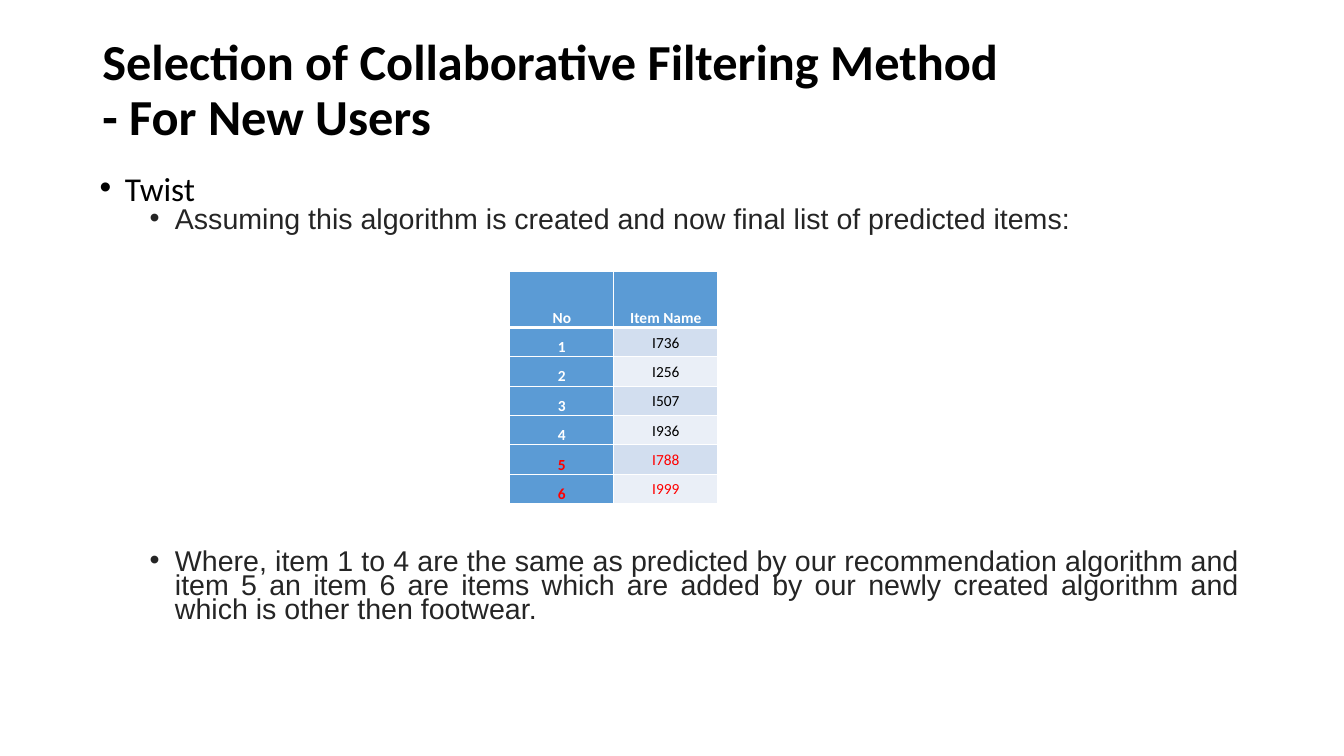
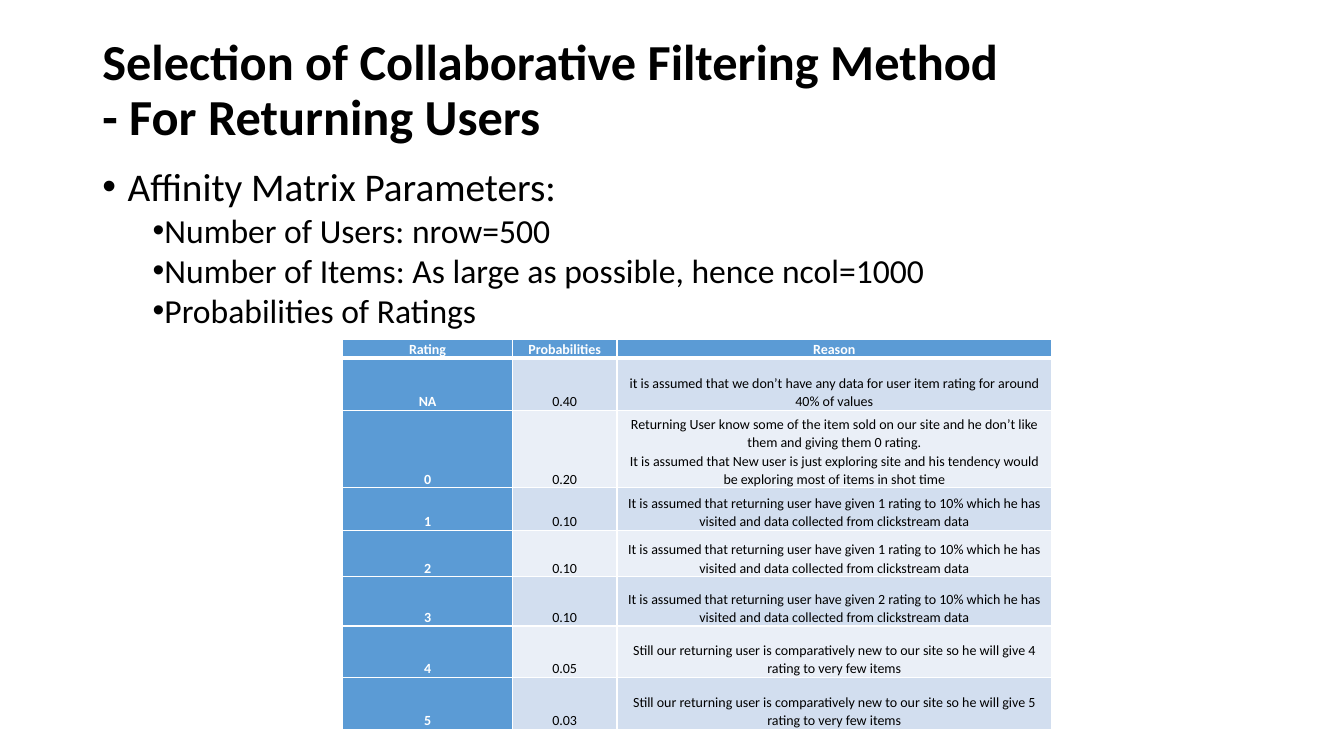
from lxml import etree
from pptx import Presentation
from pptx.dml.color import RGBColor
from pptx.enum.text import MSO_ANCHOR as Anchor, PP_ALIGN as Align
from pptx.oxml.ns import qn
from pptx.util import Cm, Pt

# Content
TITLE = "Selection of Collaborative Filtering Method\v- For {} Users"

# Each point: text, style, space before in points
TWIST = [
    ("Twist", "twist", 0),
    ("Assuming this algorithm is created and now final list of predicted "
     "items:", "assumption", 0),
    ("Where, item 1 to 4 are the same as predicted by our recommendation "
     "algorithm and item 5 an item 6 are items which are added by our newly "
     "created algorithm and which is other then footwear.", "outcome", 227),
]
PREDICTED = ["I736", "I256", "I507", "I936"]
ADDED = ["I788", "I999"]

PARAMETERS = [
    ("Affinity Matrix Parameters:", "heading", 0),
    ("Number of Users: nrow=500", "parameter", 0),
    ("Number of Items: As large as possible, hence ncol=1000", "parameter", 0),
    ("Probabilities of Ratings", "parameter", 0),
]
GIVEN = ("It is assumed that returning user have given {} rating to 10% which "
         "he has visited and data collected from clickstream data")
FEW = ("Still our returning user is comparatively new to our site so he will "
       "give {} rating to very few items")
RATINGS = [
    ("Rating", "Probabilities", "Reason"),
    ("NA", "0.40", "it is assumed that we don’t have any data for user item "
                   "rating for around 40% of values"),
    ("0", "0.20", "Returning User know some of the item sold on our site and "
                  "he don’t like them and giving them 0 rating.\n"
                  "It is assumed that New user is just exploring site and his "
                  "tendency would be exploring most of items in shot time"),
    ("1", "0.10", GIVEN.format(1)),
    ("2", "0.10", GIVEN.format(1)),
    ("3", "0.10", GIVEN.format(2)),
    ("4", "0.05", FEW.format(4)),
    ("5", "0.03", FEW.format(5)),
]

# Shared look
BLACK, WHITE, RED, CHARCOAL = "000000", "FFFFFF", "FF0000", "252525"
BLUE, BANDS = "5B9BD5", ("D2DEEF", "EAEFF7")
BODY_WIDTH, BODY_HEIGHT = 29.21, 12.09

# Style: font, size, colour, line spacing, alignment, margin, indent (cm)
STYLES = {
    "twist": ("Calibri", 23.8, BLACK, 0.7, Align.LEFT, 0.64, -0.64),
    "assumption": ("Arial", 20.4, CHARCOAL, 0.8, Align.JUSTIFY, 1.9, -0.64),
    "outcome": ("Arial", 20.4, CHARCOAL, 0.7, Align.JUSTIFY, 1.9, -0.64),
    "heading": ("Calibri", 28, BLACK, 0.9, Align.LEFT, 0.64, -0.64),
    "parameter": ("Calibri", 24, BLACK, 1.0, Align.LEFT, 1.27, 0),
}


def colour(code):
    return RGBColor.from_string(code)


def set_font(paragraph, name, size, code, bold=False):
    font = paragraph.font
    font.name, font.size, font.bold = name, Pt(size), bold
    font.color.rgb = colour(code)


def add_frame(slide, left, top, height):
    frame = slide.shapes.add_textbox(
        Cm(left), Cm(top), Cm(BODY_WIDTH), Cm(height)).text_frame
    frame.word_wrap = True
    return frame


def add_title(slide, users):
    paragraph = add_frame(slide, 2.33, 0.81, 3.3).paragraphs[0]
    paragraph.text = TITLE.format(users)
    paragraph.line_spacing = 0.9
    set_font(paragraph, "Calibri", 36, BLACK, True)


def add_points(slide, left, top, points):
    frame = add_frame(slide, left, top, BODY_HEIGHT)
    for i, (text, style, before) in enumerate(points):
        font, size, code, spacing, align, margin, indent = STYLES[style]
        paragraph = frame.add_paragraph() if i else frame.paragraphs[0]
        paragraph.text = text
        paragraph.alignment = align
        paragraph.line_spacing = spacing
        paragraph.space_before = Pt(before)
        set_font(paragraph, font, size, code)
        props = paragraph._p.get_or_add_pPr()
        props.set("marL", str(Cm(margin)))
        props.set("indent", str(Cm(indent)))
        etree.SubElement(props, qn("a:buFont")).set("typeface", "Arial")
        etree.SubElement(props, qn("a:buChar")).set("char", "•")
        # Bullets stand before the default run properties in the schema
        props.append(props.find(qn("a:defRPr")))


def add_borders(cell, is_header):
    props = cell._tc.get_or_add_tcPr()
    for i, side in enumerate(("lnL", "lnR", "lnT", "lnB")):
        width = 3 if is_header and side == "lnB" else 1
        line = etree.Element(qn("a:" + side), w=str(Pt(width)))
        fill = etree.SubElement(line, qn("a:solidFill"))
        etree.SubElement(fill, qn("a:srgbClr")).set("val", WHITE)
        props.insert(i, line)


def add_grid(slide, left, top, widths, heights, rows, size, inset,
             value_anchor=Anchor.BOTTOM, red_rows=()):
    table = slide.shapes.add_table(
        len(rows), len(widths), Cm(left), Cm(top),
        Cm(sum(widths)), Cm(sum(heights))).table
    table.first_row = table.horz_banding = False
    for column, width in zip(table.columns, widths):
        column.width = Cm(width)
    for r, (values, height) in enumerate(zip(rows, heights)):
        table.rows[r].height = Cm(height)
        for c, value in enumerate(values):
            cell = table.cell(r, c)
            is_label = r == 0 or c == 0
            cell.text = value
            cell.vertical_anchor = Anchor.BOTTOM if is_label else value_anchor
            cell.margin_left = cell.margin_right = Cm(inset)
            cell.margin_top = cell.margin_bottom = 0
            cell.fill.solid()
            cell.fill.fore_color.rgb = colour(
                BLUE if is_label else BANDS[(r - 1) % 2])
            add_borders(cell, r == 0)
            code = RED if r in red_rows else WHITE if is_label else BLACK
            for paragraph in cell.text_frame.paragraphs:
                paragraph.alignment = Align.CENTER
                paragraph.line_spacing = 1.07
                set_font(paragraph, "Calibri", size, code, is_label)


deck = Presentation()
deck.slide_width, deck.slide_height = Cm(33.87), Cm(19.05)
blank = deck.slide_layouts[6]

# New users: predicted items, with the added ones in red
new_users = deck.slides.add_slide(blank)
add_title(new_users, "New")
add_points(new_users, 2.26, 4.39, TWIST)
items = PREDICTED + ADDED
item_rows = [("No", "Item Name")]
item_rows += [(str(n), item) for n, item in enumerate(items, 1)]
add_grid(new_users, 12.85, 6.83, [2.62] * 2, [1.42] + [0.74] * len(items),
         item_rows, 11, 0.18, Anchor.MIDDLE,
         range(len(PREDICTED) + 1, len(item_rows)))

# Returning users: probability of each rating
returning_users = deck.slides.add_slide(blank)
add_title(returning_users, "Returning")
add_points(returning_users, 2.33, 4.09, PARAMETERS)
add_grid(returning_users, 8.64, 8.56, [4.27, 2.64, 10.95],
         [0.43, 1.32, 1.96, 1.07, 1.17, 1.24, 1.3, 1.3], RATINGS, 10, 0.15)

deck.save("out.pptx")
